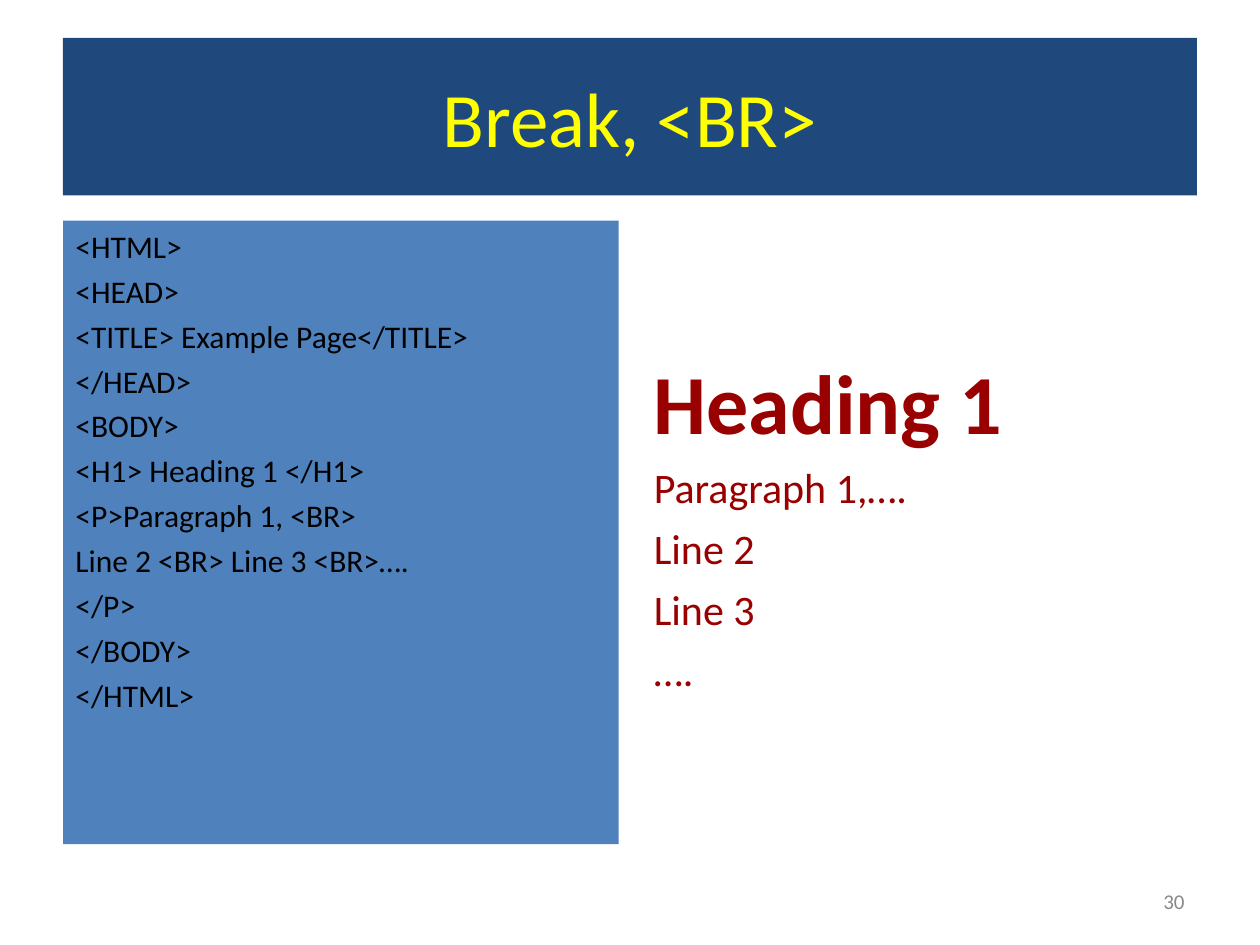
from pptx import Presentation
from pptx.dml.color import RGBColor
from pptx.enum.shapes import MSO_SHAPE
from pptx.enum.text import MSO_ANCHOR, PP_ALIGN
from pptx.util import Inches, Pt

RECT = MSO_SHAPE.RECTANGLE
TOP, MIDDLE = MSO_ANCHOR.TOP, MSO_ANCHOR.MIDDLE
LEFT, CENTER, RIGHT = PP_ALIGN.LEFT, PP_ALIGN.CENTER, PP_ALIGN.RIGHT


def rgb(value):
    return RGBColor.from_string(value)


prs = Presentation()
prs.slide_width, prs.slide_height = Inches(10), Inches(7.5)
s = prs.slides.add_slide(prs.slide_layouts[6])

code = [
    "<HTML>",
    "<HEAD>",
    "<TITLE> Example Page</TITLE>",
    "</HEAD>",
    "<BODY>",
    "<H1> Heading 1 </H1>",
    "<P>Paragraph 1, <BR>",
    "Line 2 <BR> Line 3 <BR>….",
    "</P>",
    "</BODY>",
    "</HTML>",
]
result = ["Paragraph 1,….", "Line 2", "Line 3", "…."]

blocks = [
    ((7.17, 6.95, 2.33, 0.4), None, MIDDLE, RIGHT, "898989",
     [("30", 12, 0, False)]),
    ((0.5, 0.3, 9, 1.25), "1F497D", MIDDLE, CENTER, "FFFF00",
     [("Break, <BR>", 44, 0, False)]),
    ((0.5, 1.75, 4.41, 4.95), "4F81BD", TOP, LEFT, "000000",
     [(line, 18, 4.1, False) for line in code]),
    ((5.09, 2.73, 4.41, 3.97), None, TOP, LEFT, "990000",
     [("Heading 1", 48, 0, True)] + [(line, 24, 6, False) for line in result]),
]

for box, fill, anchor, align, color, lines in blocks:
    place = [Inches(v) for v in box]
    if fill:
        sp = s.shapes.add_shape(RECT, *place)
        sp.shadow.inherit = False
        sp.fill.solid()
        sp.fill.fore_color.rgb = rgb(fill)
        sp.line.fill.background()
    else:
        sp = s.shapes.add_textbox(*place)
    tf = sp.text_frame
    tf.word_wrap = True
    tf.vertical_anchor = anchor
    for i, (text, size, before, bold) in enumerate(lines):
        p = tf.add_paragraph() if i else tf.paragraphs[0]
        p.text = text
        p.alignment = align
        p.space_before = Pt(before)
        p.font.name = "Calibri"
        p.font.size = Pt(size)
        p.font.bold = bold
        p.font.color.rgb = rgb(color)

prs.save("out.pptx")
